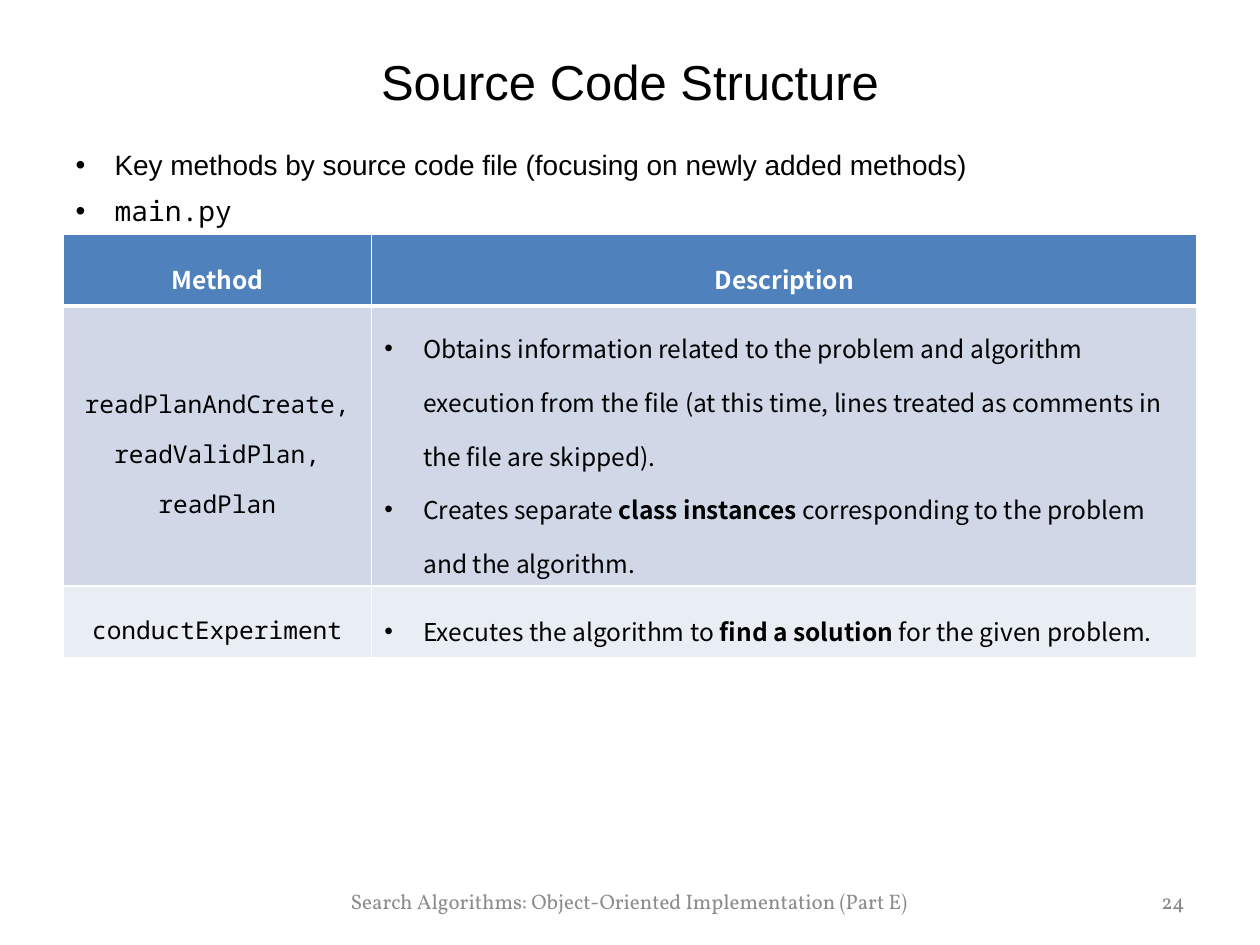
from lxml import etree
from pptx import Presentation
from pptx.dml.color import RGBColor
from pptx.enum.text import MSO_ANCHOR, MSO_AUTO_SIZE, PP_ALIGN
from pptx.oxml.ns import qn
from pptx.util import Inches, Pt

LEFT, MID, RIGHT = PP_ALIGN.LEFT, PP_ALIGN.CENTER, PP_ALIGN.RIGHT
CENTER, TOP = MSO_ANCHOR.MIDDLE, MSO_ANCHOR.TOP
NO_FIT = MSO_AUTO_SIZE.NONE

BLACK = RGBColor(0x00, 0x00, 0x00)
WHITE = RGBColor(0xFF, 0xFF, 0xFF)
BLUE = RGBColor(0x4F, 0x81, 0xBD)
BANDS = [RGBColor(0xD0, 0xD8, 0xE8), RGBColor(0xE9, 0xED, 0xF4)]
FOOT = RGBColor(0x8C, 0x8C, 0x8C)
NUMBER = RGBColor(0x89, 0x89, 0x89)

ARIAL, SANS = "Arial", "Noto Sans CJK KR"
MONO, SERIF = "Noto Sans Mono", "Vollkorn"

HEADS = ["Method", "Description"]
ROWS = [
    (["readPlanAndCreate,", "readValidPlan,", "readPlan"],
     ["Obtains information related to the problem and algorithm execution from "
      "the file (at this time, lines treated as comments in the file are skipped).",
      ["Creates separate ", "class instances",
       " corresponding to the problem and the algorithm."]]),
    (["conductExperiment"],
     [["Executes the algorithm to ", "find a solution", " for the given problem."]]),
]


def add_bullet(para):
    props = para._p.get_or_add_pPr()
    props.set("marL", str(Inches(0.31)))
    props.set("indent", str(-Inches(0.31)))
    etree.SubElement(props, qn("a:buFont"), typeface=ARIAL)
    etree.SubElement(props, qn("a:buChar"), char="•")


def write(frame, lines, size=14, font=SANS, color=BLACK, bold=False,
          align=LEFT, space=None, bullet=False):
    """Fill a frame; in a line given as a list, every second part is bold.

    font is one name, or a list with one name per line.
    """
    fonts = [font] * len(lines) if isinstance(font, str) else font
    for i, (line, face) in enumerate(zip(lines, fonts)):
        para = frame.add_paragraph() if i else frame.paragraphs[0]
        para.alignment = align
        if space:
            para.line_spacing = space
        if bullet:
            add_bullet(para)
        parts = [line] if isinstance(line, str) else line
        for j, part in enumerate(parts):
            run = para.add_run()
            run.text = part
            run.font.size = Pt(size)
            run.font.name = face
            run.font.bold = bold or j % 2 == 1
            run.font.color.rgb = color


def add_edge(cell, side, width):
    line = etree.SubElement(cell._tc.get_or_add_tcPr(), qn("a:ln" + side),
                            w=str(Pt(width)))
    fill = etree.SubElement(line, qn("a:solidFill"))
    etree.SubElement(fill, qn("a:srgbClr"), val=str(WHITE))


class Deck:
    def __init__(self, wide, high):
        self.show = Presentation()
        self.show.slide_width = Inches(wide)
        self.show.slide_height = Inches(high)
        self.slide = self.show.slides.add_slide(self.show.slide_layouts[1])

    def holder(self, index, box, lines, anchor, **style):
        """Move and fill a placeholder of the layout."""
        shape = self.slide.placeholders[index]
        shape.left, shape.top, shape.width, shape.height = map(Inches, box)
        frame = shape.text_frame
        frame.auto_size = NO_FIT
        frame.vertical_anchor = anchor
        write(frame, lines, **style)

    def label(self, box, text, **style):
        frame = self.slide.shapes.add_textbox(*map(Inches, box)).text_frame
        frame.word_wrap = True
        frame.vertical_anchor = CENTER
        write(frame, [text], size=12, font=SERIF, **style)

    def cell(self, cell, lines, fill, base=1, **style):
        for side, width in zip("LRTB", (1, 1, 1, base)):
            add_edge(cell, side, width)
        cell.fill.solid()
        cell.fill.fore_color.rgb = fill
        cell.vertical_anchor = CENTER
        write(cell.text_frame, lines, space=1.5, **style)

    def table(self, left, top, cols, highs):
        box = left, top, sum(cols), sum(highs)
        grid = self.slide.shapes.add_table(
            len(highs), len(cols), *map(Inches, box)).table
        for col, wide in zip(grid.columns, cols):
            col.width = Inches(wide)
        for row, high in zip(grid.rows, highs):
            row.height = Inches(high)
        for i, head in enumerate(HEADS):
            self.cell(grid.cell(0, i), [head], BLUE, base=3,
                      color=WHITE, bold=True, align=MID)
        for i, ((names, notes), band) in enumerate(zip(ROWS, BANDS), 1):
            self.cell(grid.cell(i, 0), names, band, font=MONO, align=MID)
            self.cell(grid.cell(i, 1), notes, band, bullet=True)


def main():
    deck = Deck(10, 7.5)
    deck.holder(0, (0.5, 0.3, 9, 0.69), ["Source Code Structure"], CENTER,
                size=28, font=ARIAL, align=MID)
    deck.holder(1, (0.5, 1.07, 9, 5.75),
                ["Key methods by source code file (focusing on newly added methods)",
                 "main.py"],
                TOP, size=16, font=[ARIAL, MONO], space=1.2, bullet=True)
    deck.label((2.24, 6.95, 5.51, 0.4),
               "Search Algorithms: Object-Oriented Implementation (Part E)",
               color=FOOT, align=MID)
    deck.label((8.31, 6.95, 1.19, 0.4), "24", color=NUMBER, align=RIGHT)
    deck.table(0.5, 1.86, (2.45, 6.55), (0.57, 2.22, 0.57))
    deck.show.save("out.pptx")


if __name__ == "__main__":
    main()
